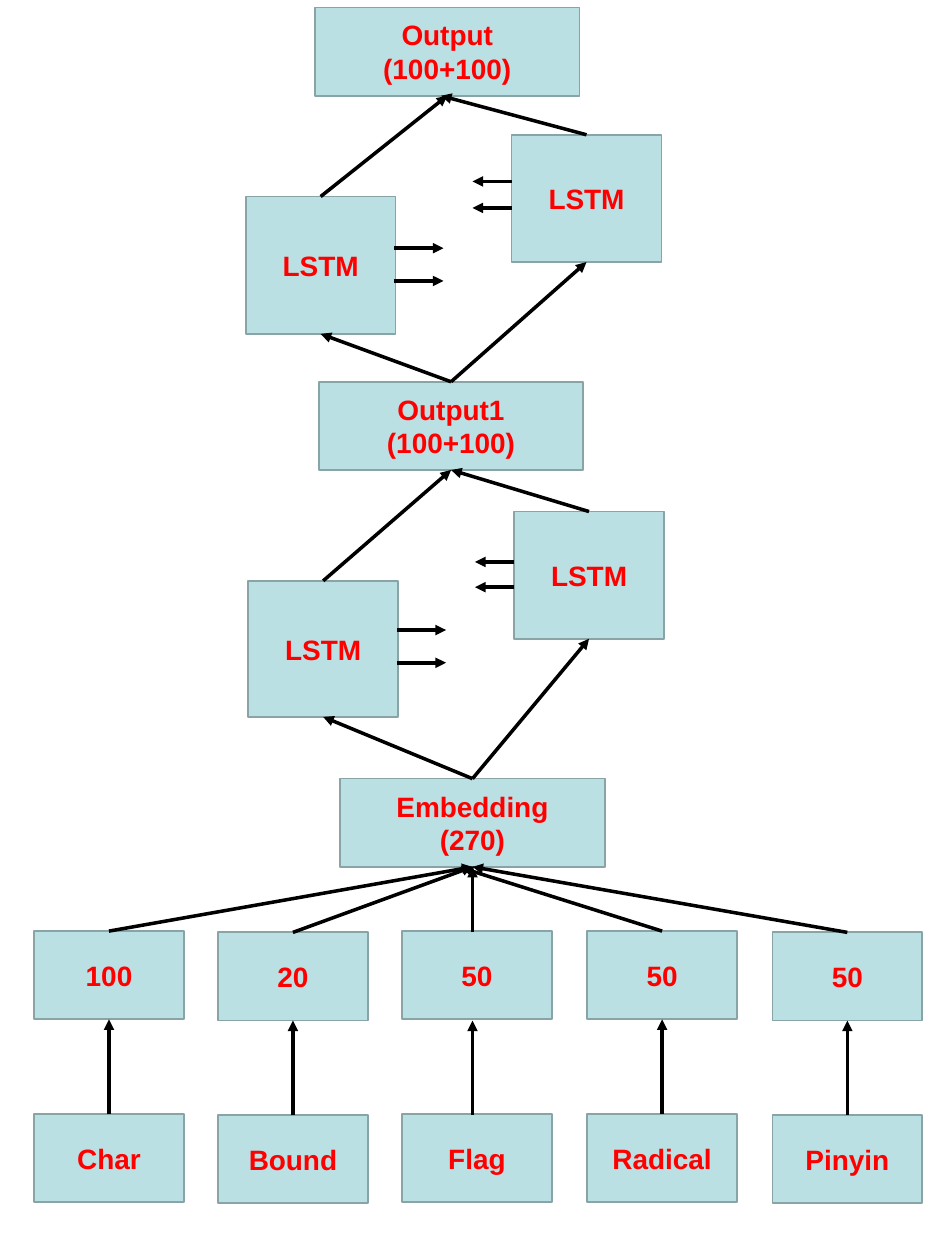
from lxml.etree import SubElement
from pptx import Presentation
from pptx.dml.color import RGBColor
from pptx.enum.shapes import MSO_CONNECTOR, MSO_SHAPE
from pptx.enum.text import MSO_ANCHOR, PP_ALIGN
from pptx.oxml.ns import qn
from pptx.util import Emu, Pt

PX = 9144  # EMU in one px, 100 px to the inch

FILL = RGBColor(0xBB, 0xE0, 0xE3)
BORDER = RGBColor(0x89, 0xA4, 0xA7)
RED = RGBColor(0xFF, 0x00, 0x00)
BLACK = RGBColor(0x00, 0x00, 0x00)

TOP, BOTTOM = 0, 2  # connection sites of a rectangle
WIDE, NARROW, LOW = 210, 119, 70  # box widths and usual height

# Label, embedding size, left and top within the input region
FEATURES = [
    ("Char", "100", 0, 0),
    ("Bound", "20", 146, 1),
    ("Flag", "50", 292, 0),
    ("Radical", "50", 439, 0),
    ("Pinyin", "50", 586, 1),
]


def px(count):
    return Emu(count * PX)


def write(frame, text, size=16, color=RED, bold=True, font="Arial"):
    """Fill a frame; \\n starts a paragraph and \\v breaks a line."""
    frame.word_wrap = True
    frame.vertical_anchor = MSO_ANCHOR.MIDDLE
    frame.text = text
    for para in frame.paragraphs:
        para.alignment = PP_ALIGN.CENTER
        for span in para.runs:
            span.font.name = font
            span.font.size = Pt(size)
            span.font.bold = bold
            span.font.color.rgb = color


def add_box(page, text, left, top, width, height=LOW):
    box = page.shapes.add_shape(
        MSO_SHAPE.RECTANGLE, px(left), px(top), px(width), px(height))
    box.shadow.inherit = False
    box.fill.solid()
    box.fill.fore_color.rgb = FILL
    box.line.color.rgb = BORDER
    box.line.width = Pt(1)
    write(box.text_frame, text)
    return box


def add_arrow(page, start, end):
    """Each end is an (x, y) point or a (box, site) pair to join."""
    def point(place):
        return (0, 0) if hasattr(place[0], "shape_id") else place

    first, last = point(start), point(end)
    arrow = page.shapes.add_connector(
        MSO_CONNECTOR.STRAIGHT, *map(px, first), *map(px, last))
    if first is not start:
        arrow.begin_connect(*start)
    if last is not end:
        arrow.end_connect(*end)
    arrow.line.color.rgb = BLACK
    arrow.line.width = Pt(0)
    SubElement(arrow.line._get_or_add_ln(), qn("a:tailEnd"), type="triangle")
    SubElement(arrow._element.spPr, qn("a:effectLst"))


def add_input_layer(page, left, top, embedding):
    """Feature names feed their vectors, which feed the embedding."""
    axis = left + 348
    for name, size, shift, drop in FEATURES:
        vector = add_box(page, size, left + shift, top + drop, NARROW)
        label = add_box(page, name, left + shift, top + 145 + drop, NARROW)
        if name == "Flag":  # these arrows keep to the embedding's axis
            add_arrow(page, (axis, top + 146), (axis, top + 71))
            add_arrow(page, (axis, top + 1), (embedding, BOTTOM))
            continue
        add_arrow(page, (label, TOP), (vector, BOTTOM))
        goal = (axis - 8, top - 50) if name == "Radical" else (embedding, BOTTOM)
        add_arrow(page, (vector, TOP), goal)


def add_lstm_layer(page, left, top, source, target, drop, height,
                   forward_rows, backward_rows, backward_goal=None):
    """Forward and backward cells between a source and a target box."""
    forward = add_box(page, "LSTM", left, top + drop, NARROW, height)
    backward = add_box(page, "LSTM", left + 211, top, NARROW, 101)
    for cell, goal in ((forward, None), (backward, backward_goal)):
        add_arrow(page, (source, TOP), (cell, BOTTOM))
        add_arrow(page, (cell, TOP), goal or (target, BOTTOM))

    # Short arrows along the sequence
    for row in forward_rows:
        add_arrow(page, (left + 118, top + row), (left + 157, top + row))
    for row in backward_rows:
        add_arrow(page, (left + 211, top + row), (left + 180, top + row))


def main():
    deck = Presentation()
    deck.slide_width, deck.slide_height = px(750), px(1000)
    page = deck.slides.add_slide(deck.slide_layouts[6])

    # Wide boxes between the layers
    embedding = add_box(page, "Embedding\n(270)", 270, 618, WIDE)
    middle = add_box(page, "Output1\n(100+100)", 253, 303, WIDE)
    output = add_box(page, "Output\v(100+100)", 250, 6, WIDE)

    # Layers, from the bottom up
    add_input_layer(page, 27, 739, embedding)
    add_lstm_layer(page, 197, 406, embedding, middle, drop=55, height=108,
                   forward_rows=(94, 120), backward_rows=(40, 60))
    add_lstm_layer(page, 195, 107, middle, output, drop=49, height=109,
                   forward_rows=(90, 116), backward_rows=(37, 58),
                   backward_goal=(350, 76))

    deck.save("out.pptx")


if __name__ == "__main__":
    main()
